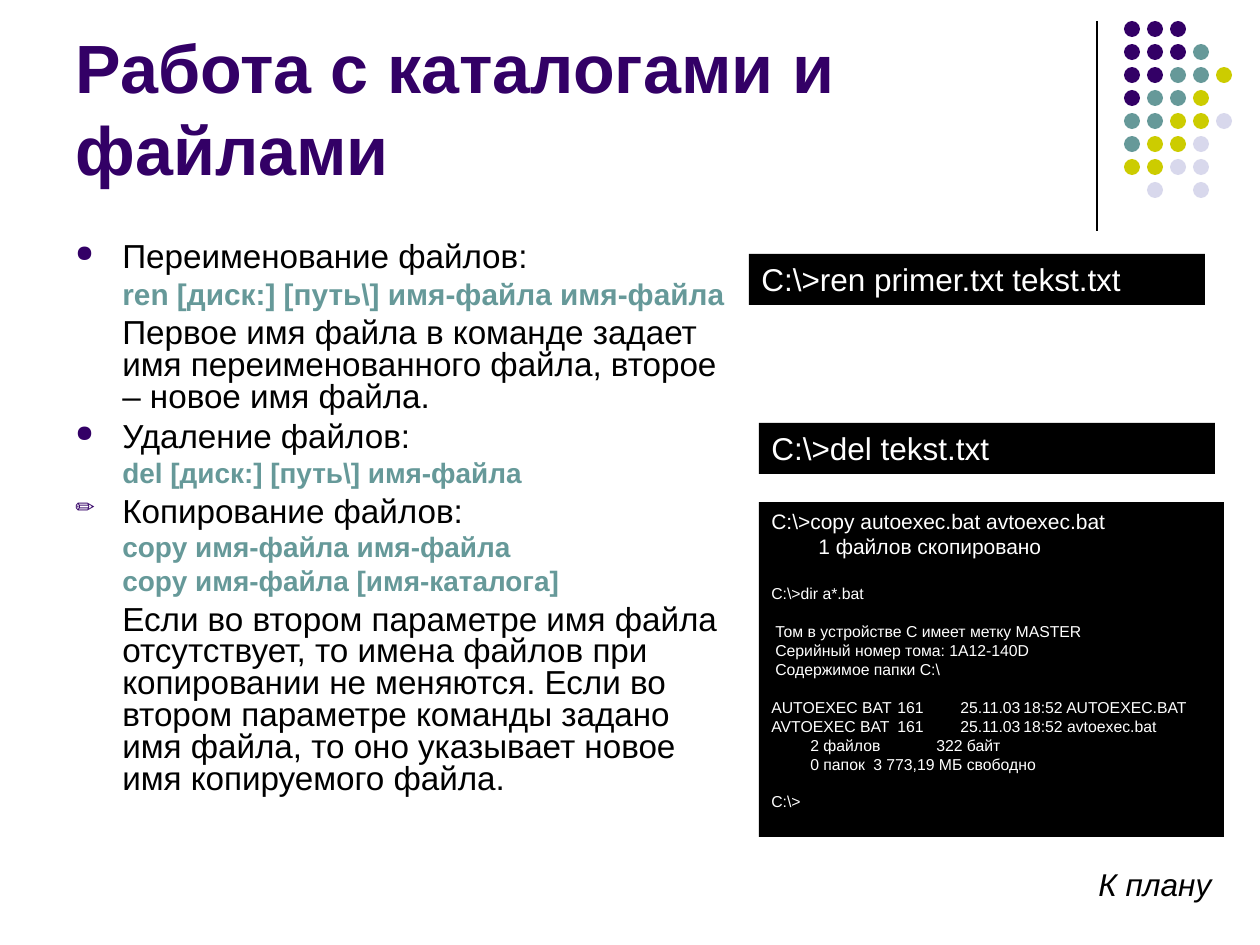
from lxml import etree
from pptx import Presentation
from pptx.dml.color import RGBColor
from pptx.enum.shapes import MSO_CONNECTOR, MSO_SHAPE
from pptx.enum.text import MSO_ANCHOR, MSO_AUTO_SIZE, PP_ALIGN
from pptx.oxml.ns import qn
from pptx.util import Emu, Pt

TOP, BOTTOM = MSO_ANCHOR.TOP, MSO_ANCHOR.BOTTOM
LEFT = PP_ALIGN.LEFT
NO_FIT = MSO_AUTO_SIZE.NONE
RECTANGLE, OVAL = MSO_SHAPE.RECTANGLE, MSO_SHAPE.OVAL
STRAIGHT = MSO_CONNECTOR.STRAIGHT

FONT = "Arial"
BLACK, WHITE = "000000", "FFFFFF"
PURPLE, TEAL, OLIVE, LILAC = "330066", "669999", "CCCC00", "D8D8EC"
DOT_COLOURS = {"P": PURPLE, "T": TEAL, "O": OLIVE, "L": LILAC}
DOT_ROWS = ["PPP", "PPPT", "PPTTO", "PTTO", "TTOOL", "TOOL", "OOLL", " L L"]

COMMANDS = [
    ("●", "Переименование файлов:", 19),
    ("code", r"ren [диск:] [путь\] имя-файла имя-файла", 17),
    ("note", "Первое имя файла в команде задает имя переименованного файла, "
             "второе – новое имя файла.", 19),
    ("●", "Удаление файлов:", 19),
    ("code", r"del [диск:] [путь\] имя-файла", 16),
    ("✏", "Копирование файлов:", 19),
    ("code", "copy имя-файла имя-файла", 16),
    ("code", "copy имя-файла [имя-каталога]", 16),
    ("note", "Если во втором параметре имя файла отсутствует, то имена файлов "
             "при копировании не меняются. Если во втором параметре команды "
             "задано имя файла, то оно указывает новое имя копируемого файла.", 19),
]

FILE_STOPS = (168, 203, 272)
COPY_LOG = [
    (r"C:\>copy autoexec.bat avtoexec.bat", 12, 0, 0, ()),
    ("1 файлов скопировано", 12, 47, 0, ()),
    (r"C:\>dir a*.bat", 9, 0, 14.4, ()),
    ("Том в устройстве C имеет метку MASTER", 9, 4, 10.8, ()),
    ("Серийный номер тома: 1A12-140D", 9, 4, 0, ()),
    ("Содержимое папки C:\\", 9, 4, 0, ()),
    ("AUTOEXEC BAT\t161\t25.11.03\t18:52 AUTOEXEC.BAT", 9, 0, 10.8, FILE_STOPS),
    ("AVTOEXEC BAT\t161\t25.11.03\t18:52 avtoexec.bat", 9, 0, 0, FILE_STOPS),
    ("2 файлов\t322 байт", 9, 39, 0, (162,)),
    ("0 папок\t3 773,19 МБ свободно", 9, 39, 0, (130,)),
    (r"C:\>", 9, 0, 10.8, ()),
]


def px(length):
    """Turn a length in px into EMU."""
    return Emu(round(length * 914400 / 126))


def rgb(colour):
    """Turn a hex string into a colour."""
    return RGBColor.from_string(colour)


def place(left, top, width, height):
    """Return the four lengths of a box in EMU."""
    return px(left), px(top), px(width), px(height)


def style(para, size, colour, bold=False, italic=False):
    """Format every run of a paragraph."""
    para.alignment = LEFT
    for span in para.runs:
        span.font.name = FONT
        span.font.size = Pt(size)
        span.font.color.rgb = rgb(colour)
        span.font.bold = bold
        span.font.italic = italic


def set_frame(frame, anchor=TOP, wrap=True):
    """Fix how a text frame wraps and anchors its text."""
    frame.auto_size = NO_FIT
    frame.word_wrap = wrap
    frame.vertical_anchor = anchor


def add_paragraphs(frame, texts):
    """Fill a frame with one paragraph for each text and return them."""
    frame.text = "\n".join(texts)
    return frame.paragraphs


def set_indent(para, margin, hanging=0):
    """Set the left margin of a paragraph and its hanging first line."""
    props = para._p.get_or_add_pPr()
    props.set("marL", str(px(margin)))
    props.set("indent", str(-px(hanging)))
    return props


def add_bullet(props, mark):
    """Give paragraph properties a coloured bullet."""
    colour = etree.SubElement(props, qn("a:buClr"))
    etree.SubElement(colour, qn("a:srgbClr"), val=PURPLE)
    etree.SubElement(props, qn("a:buSzPct"), val="70000")
    etree.SubElement(props, qn("a:buChar"), char=mark)


def add_tabs(props, stops):
    """Give paragraph properties left tab stops."""
    tabs = etree.SubElement(props, qn("a:tabLst"))
    for stop in stops:
        etree.SubElement(tabs, qn("a:tab"), pos=str(px(stop)), algn="l")


def add_filled(page, kind, colour, *box):
    """Add a filled shape without outline or shadow."""
    shape = page.shapes.add_shape(kind, *place(*box))
    shape.shadow.inherit = False
    shape.fill.solid()
    shape.fill.fore_color.rgb = rgb(colour)
    shape.line.fill.background()
    return shape


def add_ornament(page, left, top):
    """Draw the vertical rule and the grid of dots beside it."""
    rule = page.shapes.add_connector(STRAIGHT, px(left), px(top), px(left), px(top + 210))
    rule.line.color.rgb = rgb(BLACK)
    rule.line.width = Pt(0.75)
    etree.SubElement(rule._element.spPr, qn("a:effectLst"))
    for row, marks in enumerate(DOT_ROWS):
        for column, mark in enumerate(marks):
            if mark in DOT_COLOURS:
                add_filled(page, OVAL, DOT_COLOURS[mark],
                           left + 27 + 23 * column, top + 23 * row, 16, 16)


def add_title(page, *box):
    """Place and format the title."""
    title = page.shapes.title
    title.left, title.top, title.width, title.height = place(*box)
    title.text_frame.text = "Работа с каталогами и файлами"
    set_frame(title.text_frame, BOTTOM)
    style(title.text_frame.paragraphs[0], 39, PURPLE, bold=True)


def add_commands(page, *box):
    """Write the list of commands with their syntax and notes."""
    frame = page.shapes.add_textbox(*place(*box)).text_frame
    set_frame(frame)
    paras = add_paragraphs(frame, [text for _, text, _ in COMMANDS])
    for para, (role, _, size) in zip(paras, COMMANDS):
        is_code = role == "code"
        style(para, size, TEAL if is_code else BLACK, bold=is_code)
        para.line_spacing = 0.8
        para.space_before = Pt(size / 4)
        if role in ("code", "note"):
            set_indent(para, 47)
        else:
            add_bullet(set_indent(para, 47, 47), role)


def add_console(page, lines, *box):
    """Draw a black console box with its lines of output."""
    frame = add_filled(page, RECTANGLE, BLACK, *box).text_frame
    set_frame(frame)
    paras = add_paragraphs(frame, [line[0] for line in lines])
    for para, (_, size, margin, gap, stops) in zip(paras, lines):
        style(para, size, WHITE)
        para.space_before = Pt(gap)
        props = set_indent(para, margin)
        if stops:
            add_tabs(props, stops)


def add_plan_label(page, *box):
    """Write the label that points back to the plan."""
    frame = page.shapes.add_textbox(*place(*box)).text_frame
    set_frame(frame, wrap=False)
    frame.text = "К плану"
    style(frame.paragraphs[0], 18, BLACK, italic=True)


def main():
    """Build the slide and save the deck."""
    deck = Presentation()
    deck.slide_width, deck.slide_height = px(1260), px(945)
    page = deck.slides.add_slide(deck.slide_layouts[5])
    add_ornament(page, 1097, 21)
    add_title(page, 63, 16, 1040, 179)
    add_commands(page, 63, 237, 677, 607)
    add_console(page, [(r"C:\>ren primer.txt tekst.txt", 18, 0, 0, ())], 749, 254, 456, 51)
    add_console(page, [(r"C:\>del tekst.txt", 18, 0, 0, ())], 759, 423, 456, 51)
    add_console(page, COPY_LOG, 759, 502, 465, 335)
    add_plan_label(page, 1086, 859, 137, 51)
    deck.save("out.pptx")


if __name__ == "__main__":
    main()
